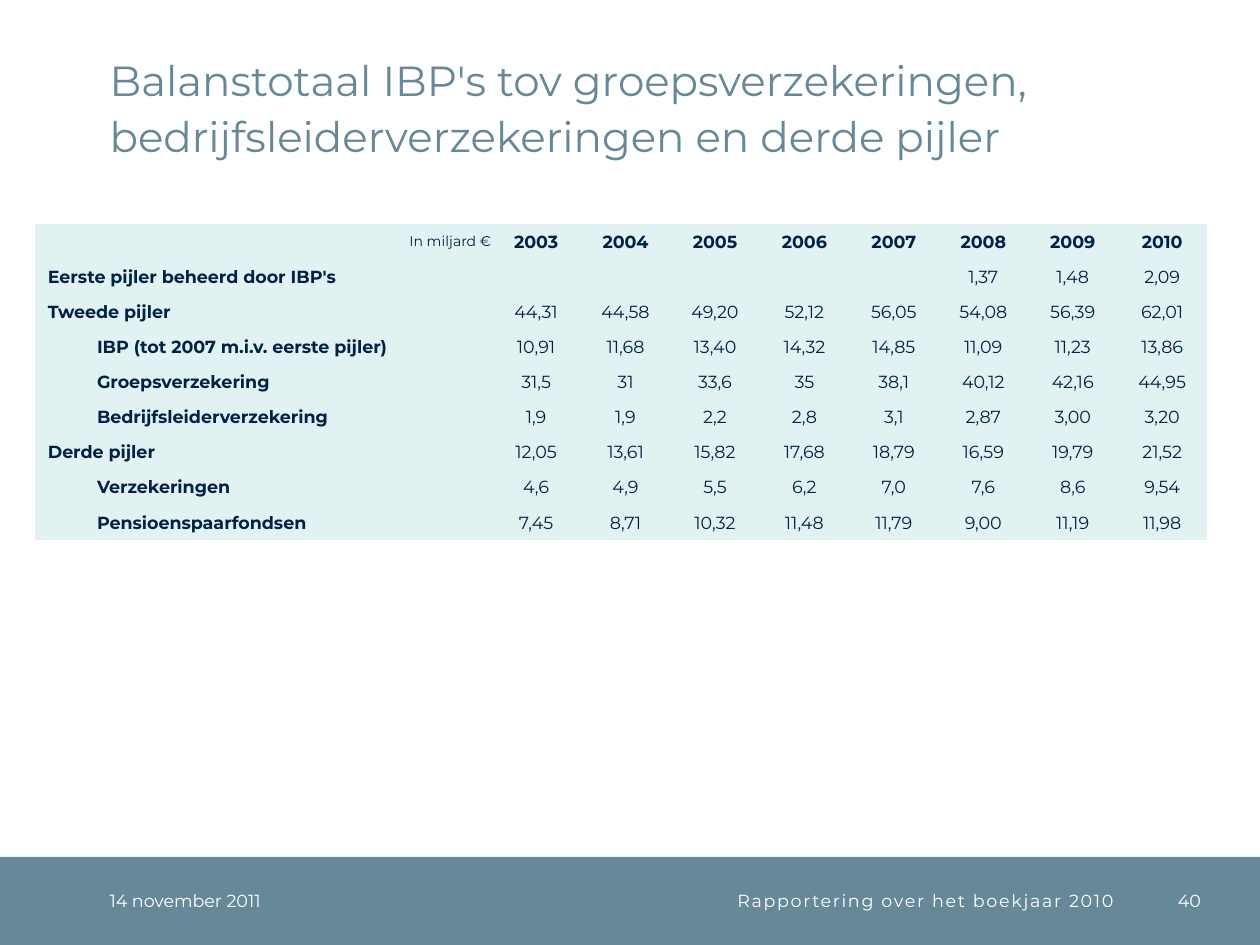
import pptx
import pptx.util
import pptx.dml.color
import pptx.enum.shapes
import pptx.enum.text
import pptx.oxml.ns
import lxml.etree

Inches, Pt = pptx.util.Inches, pptx.util.Pt
RGB = pptx.dml.color.RGBColor
ALIGN = pptx.enum.text.PP_ALIGN
ANCHOR = pptx.enum.text.MSO_ANCHOR
qn = pptx.oxml.ns.qn

FONT = "Montserrat"
SLATE = RGB(0x66, 0x88, 0x99)
NAVY = RGB(0x00, 0x22, 0x44)
PALE = RGB(0xE2, 0xF2, 0xF3)
WHITE = RGB(0xFF, 0xFF, 0xFF)
PLAIN = "{2D5ABB26-0587-4C30-8999-92F81FD0307C}"  # no style, no grid

TITLE = ("Balanstotaal IBP's tov groepsverzekeringen, "
         "bedrijfsleiderverzekeringen en derde pijler")
UNIT = "In miljard €"
YEARS = [str(year) for year in range(2003, 2011)]
# level, label, one value per year
ROWS = [
    (0, "Eerste pijler beheerd door IBP's",
     ["", "", "", "", "", "1,37", "1,48", "2,09"]),
    (0, "Tweede pijler",
     ["44,31", "44,58", "49,20", "52,12", "56,05", "54,08", "56,39", "62,01"]),
    (1, "IBP (tot 2007 m.i.v. eerste pijler)",
     ["10,91", "11,68", "13,40", "14,32", "14,85", "11,09", "11,23", "13,86"]),
    (1, "Groepsverzekering",
     ["31,5", "31", "33,6", "35", "38,1", "40,12", "42,16", "44,95"]),
    (1, "Bedrijfsleiderverzekering",
     ["1,9", "1,9", "2,2", "2,8", "3,1", "2,87", "3,00", "3,20"]),
    (0, "Derde pijler",
     ["12,05", "13,61", "15,82", "17,68", "18,79", "16,59", "19,79", "21,52"]),
    (1, "Verzekeringen",
     ["4,6", "4,9", "5,5", "6,2", "7,0", "7,6", "8,6", "9,54"]),
    (1, "Pensioenspaarfondsen",
     ["7,45", "8,71", "10,32", "11,48", "11,79", "9,00", "11,19", "11,98"]),
]
# text, left, width, alignment, letter spacing in hundredths of a point
FOOTER = [
    ("14 november 2011", 0.87, 1.77, ALIGN.LEFT, 0),
    ("Rapportering over het boekjaar 2010", 2.64, 6.2, ALIGN.RIGHT, 100),
    ("40", 9.04, 0.49, ALIGN.RIGHT, 0),
]
INDENT = (0.1, 0.49)
BAR_TOP, BAR_HIGH = 6.8, 0.7
LABEL_WIDE, YEAR_WIDE, ROW_HIGH = 3.62, 0.71, 0.279


def style(para, size, color, align, bold=False):
    para.alignment = align
    for run in para.runs:
        font = run.font
        font.name, font.size, font.bold = FONT, Pt(size), bold
        font.color.rgb = color


def add_text(slide, text, box, size, color, align=ALIGN.LEFT,
             anchor=ANCHOR.MIDDLE):
    frame = slide.shapes.add_textbox(*map(Inches, box)).text_frame
    frame.word_wrap = True
    frame.vertical_anchor = anchor
    frame.margin_left = frame.margin_right = 0
    frame.margin_top = frame.margin_bottom = 0
    frame.text = text
    para = frame.paragraphs[0]
    style(para, size, color, align)
    return para


def fill_cell(cell, text, align, bold=False, size=10, indent=0):
    cell.fill.solid()
    cell.fill.fore_color.rgb = PALE
    cell.vertical_anchor = ANCHOR.MIDDLE
    cell.margin_left = cell.margin_right = 0
    cell.margin_top = cell.margin_bottom = 0
    cell.text_frame.text = text
    para = cell.text_frame.paragraphs[0]
    style(para, size, NAVY, align, bold)
    if indent:
        props = para._p.get_or_add_pPr()
        props.set("marL", str(Inches(indent)))
        props.set("indent", "0")
    if not text:  # keeps an empty cell from stretching its row
        end = lxml.etree.SubElement(para._p, qn("a:endParaRPr"))
        end.set("sz", str(size * 100))


def add_grid(slide):
    count, width = len(ROWS) + 1, LABEL_WIDE + YEAR_WIDE * len(YEARS)
    table = slide.shapes.add_table(
        count, len(YEARS) + 1, Inches(0.28), Inches(1.78),
        Inches(width), Inches(ROW_HIGH * count)).table
    table.first_row = table.horz_banding = False
    table._tbl.tblPr.find(qn("a:tableStyleId")).text = PLAIN
    for col, column in enumerate(table.columns):
        column.width = Inches(YEAR_WIDE if col else LABEL_WIDE)
    for row in table.rows:
        row.height = Inches(ROW_HIGH)

    fill_cell(table.cell(0, 0), UNIT, ALIGN.RIGHT, size=8, indent=INDENT[0])
    for col, year in enumerate(YEARS, 1):
        fill_cell(table.cell(0, col), year, ALIGN.CENTER, bold=True)
    for row, (level, label, values) in enumerate(ROWS, 1):
        fill_cell(table.cell(row, 0), label, ALIGN.LEFT, bold=True,
                  indent=INDENT[level])
        for col, value in enumerate(values, 1):
            fill_cell(table.cell(row, col), value, ALIGN.CENTER)


def main():
    deck = pptx.Presentation()
    deck.slide_width, deck.slide_height = Inches(10), Inches(7.5)
    slide = deck.slides.add_slide(deck.slide_layouts[6])

    bar = slide.shapes.add_shape(
        pptx.enum.shapes.MSO_SHAPE.RECTANGLE, 0, Inches(BAR_TOP),
        deck.slide_width, Inches(BAR_HIGH))
    bar.shadow.inherit = False
    bar.fill.solid()
    bar.fill.fore_color.rgb = SLATE
    bar.line.fill.background()

    title = add_text(slide, TITLE, (0.87, 0.2, 8.63, 1.08), 24, SLATE,
                     anchor=ANCHOR.BOTTOM)
    title.line_spacing = Pt(32)
    for text, left, width, align, gap in FOOTER:
        para = add_text(slide, text, (left, BAR_TOP, width, BAR_HIGH), 10,
                        WHITE, align)
        if gap:
            para.runs[0]._r.get_or_add_rPr().set("spc", str(gap))
    add_grid(slide)
    deck.save("out.pptx")


if __name__ == "__main__":
    main()
